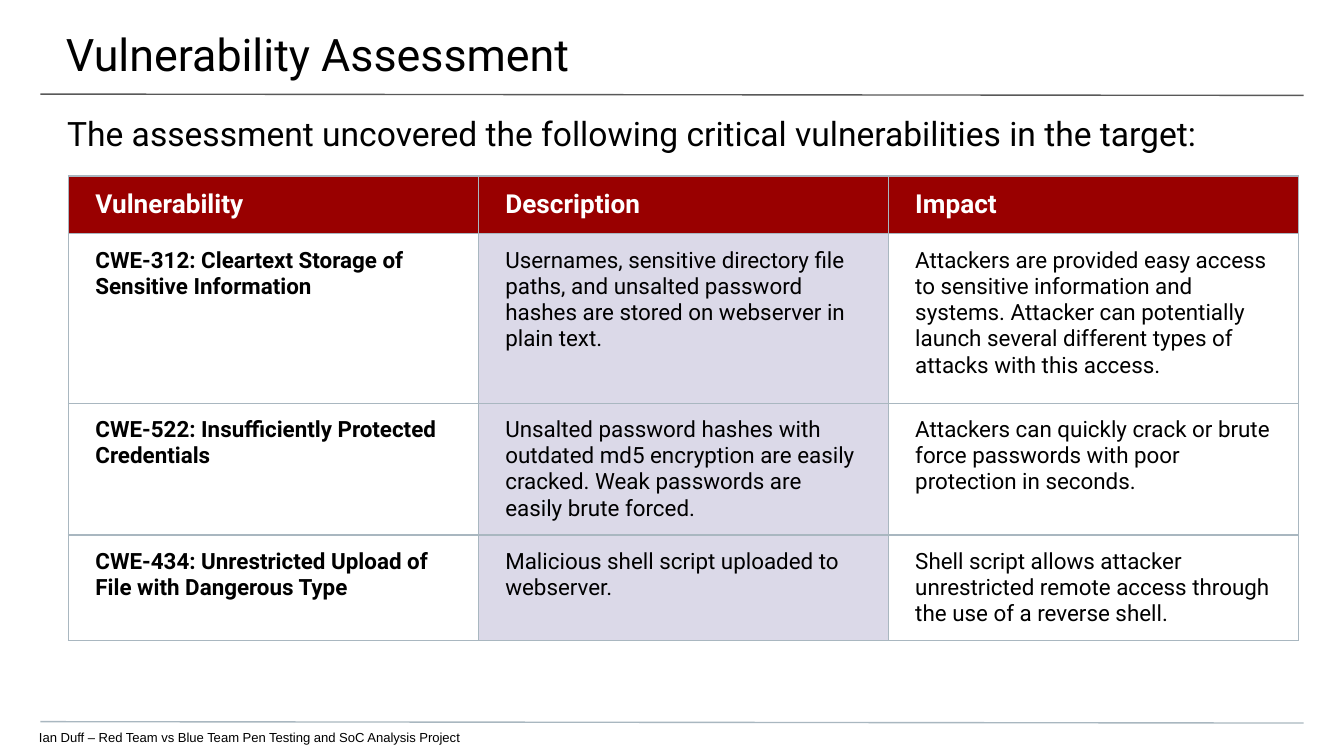
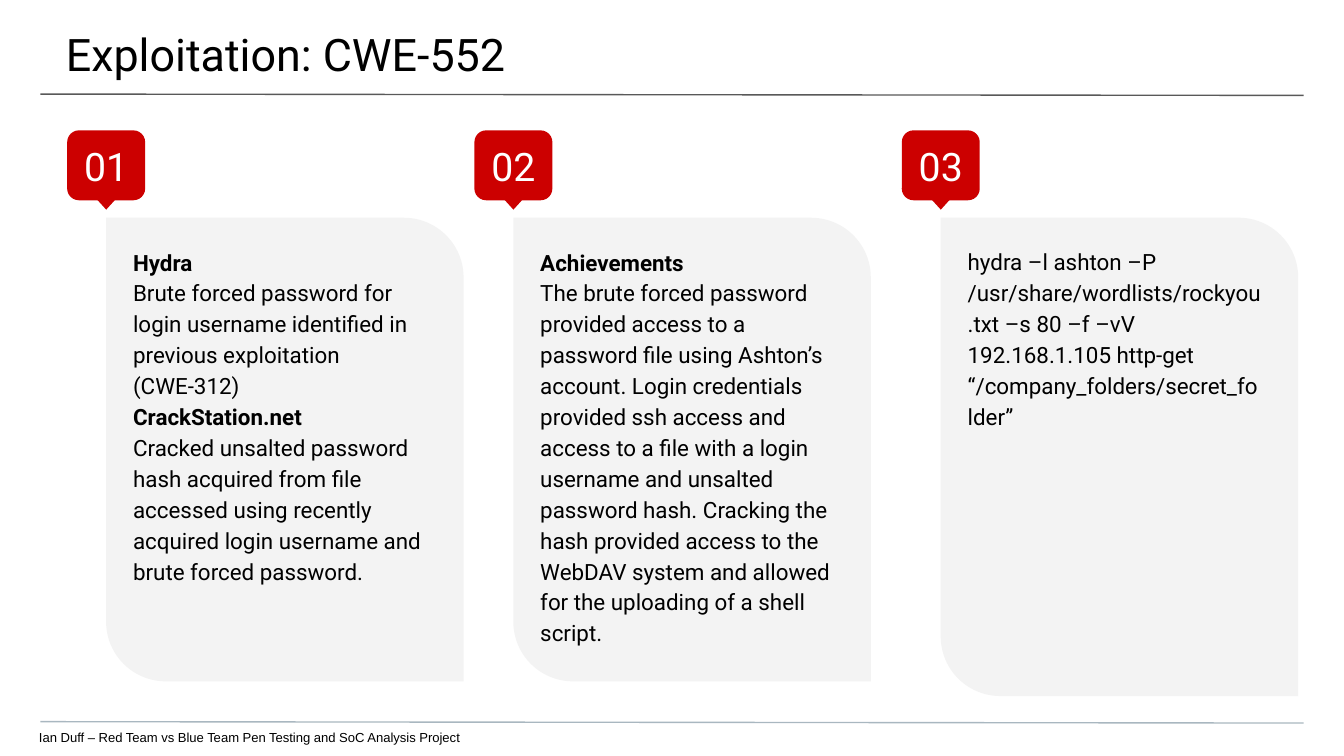
from dataclasses import dataclass

from lxml.etree import SubElement
from pptx import Presentation
from pptx.dml.color import RGBColor
from pptx.enum.shapes import MSO_CONNECTOR as Connector, MSO_SHAPE as Shape
from pptx.enum.text import MSO_ANCHOR as Anchor, MSO_AUTO_SIZE as AutoSize, PP_ALIGN as Align
from pptx.oxml.ns import qn
from pptx.util import Inches, Pt

BLACK = RGBColor(0x00, 0x00, 0x00)
WHITE = RGBColor(0xFF, 0xFF, 0xFF)
DARK_RED = RGBColor(0x99, 0x00, 0x00)
RED = RGBColor(0xCC, 0x00, 0x00)
LILAC = RGBColor(0xDB, 0xD9, 0xE8)
PALE_GREY = RGBColor(0xF3, 0xF3, 0xF3)
RULE_GREY = RGBColor(0x59, 0x59, 0x59)
BORDER_GREY = RGBColor(0xA9, 0xB7, 0xC0)

SLIDE_WIDTH = Inches(10)
SLIDE_HEIGHT = SLIDE_WIDTH * 9 // 16
UNIT = SLIDE_WIDTH // 100
TITLE_STYLE = {"name": "Roboto", "size": Pt(24), "bold": False}
LEAD_STYLE = {"name": "Roboto", "size": Pt(18)}
FOOTER_STYLE = {"name": "Arial", "size": Pt(7)}
HEAD_STYLE = {"name": "Roboto", "size": Pt(14), "bold": True}
BODY_STYLE = {"name": "Roboto", "size": Pt(12), "bold": False}
STRONG_STYLE = {**BODY_STYLE, "bold": True}
BADGE_STYLE = {"name": "Roboto", "size": Pt(21)}

FOOTER = "Ian Duff – Red Team vs Blue Team Pen Testing and SoC Analysis Project"
LEAD = "The assessment uncovered the following critical vulnerabilities in the target:"
HEADINGS = ["Vulnerability", "Description", "Impact"]
FINDINGS = [
    ["CWE-312: Cleartext Storage of Sensitive Information",
     "Usernames, sensitive directory file paths, and unsalted password hashes are stored "
     "on webserver in plain text.",
     "Attackers are provided easy access to sensitive information and systems. Attacker can "
     "potentially launch several different types of attacks with this access."],
    ["CWE-522: Insufficiently Protected Credentials",
     "Unsalted password hashes with outdated md5 encryption are easily cracked. Weak passwords "
     "are easily brute forced.",
     "Attackers can quickly crack or brute force passwords with poor protection in seconds."],
    ["CWE-434: Unrestricted Upload of File with Dangerous Type",
     "Malicious shell script uploaded to webserver.",
     "Shell script allows attacker unrestricted remote access through the use of a reverse shell."],
]
ROW_HEIGHTS = [3.9, 12.6, 9, 7.6]


@dataclass
class Box:
    """A rectangle measured in hundredths of the slide width."""
    left: float
    top: float
    width: float
    height: float

    def inside(self, left, top, width, height):
        """Return a box placed relative to this one."""
        return Box(self.left + left, self.top + top, width, height)

    def lengths(self):
        """Return left, top, width and height as slide lengths."""
        return [round(value * UNIT) for value in (self.left, self.top, self.width, self.height)]


@dataclass
class Step:
    """A numbered card with styled paragraphs."""
    box: Box
    text_width: float
    lines: list


STEPS = [
    Step(Box(5, 9.7, 29.5, 41), 25.9, [
        ("Hydra", STRONG_STYLE),
        ("Brute forced password for login username identified in previous exploitation "
         "(CWE-312)", BODY_STYLE),
        ("CrackStation.net", STRONG_STYLE),
        ("Cracked unsalted password hash acquired from file accessed using recently acquired "
         "login username and brute forced password.", BODY_STYLE)]),
    Step(Box(35.3, 9.7, 29.5, 41), 26.6, [
        ("Achievements", STRONG_STYLE),
        ("The brute forced password provided access to a password file using Ashton’s account. "
         "Login credentials provided ssh access and access to a file with a login username and "
         "unsalted password hash. Cracking the hash provided access to the WebDAV system and "
         "allowed for the uploading of a shell script.", BODY_STYLE)]),
    Step(Box(67.1, 9.7, 29.5, 42.1), 25.9, [
        ("hydra –l ashton –P /usr/share/wordlists/rockyou.txt –s 80 –f –vV 192.168.1.105 "
         "http-get “/company_folders/secret_folder”", BODY_STYLE)]),
]


def set_values(target, values):
    """Set every attribute named in a dict."""
    for name, value in values.items():
        setattr(target, name, value)


def set_insets(target, insets):
    """Set left, top, right and bottom margins given in units."""
    sides = ("margin_left", "margin_top", "margin_right", "margin_bottom")
    set_values(target, {side: round(inset * UNIT) for side, inset in zip(sides, insets)})


def write(frame, lines, color=BLACK, align=Align.LEFT, spacing=None):
    """Fill a text frame with one styled paragraph per line."""
    for index, (text, style) in enumerate(lines):
        para = frame.add_paragraph() if index else frame.paragraphs[0]
        set_values(para, {"alignment": align, "line_spacing": spacing})
        span = para.add_run()
        span.text = text
        set_values(span.font, style)
        span.font.color.rgb = color


def prepare_frame(frame, insets, anchor=Anchor.TOP):
    """Give a text frame fixed size, wrapping, margins and anchor."""
    set_values(frame, {"word_wrap": True, "auto_size": AutoSize.NONE, "vertical_anchor": anchor})
    set_insets(frame, insets)
    return frame


def add_text(page, box, lines, insets, spacing=None):
    """Add a text box."""
    frame = page.shapes.add_textbox(*box.lengths()).text_frame
    write(prepare_frame(frame, insets), lines, spacing=spacing)


def add_filled(shapes, kind, box, color):
    """Add a flat shape without outline."""
    shape = shapes.add_shape(kind, *box.lengths())
    shape.shadow.inherit = False
    shape.fill.solid()
    shape.fill.fore_color.rgb = color
    shape.line.fill.background()
    return shape


def add_rule(page, box, color):
    """Draw a thin line across a box."""
    left, top, width, height = box.lengths()
    rule = page.shapes.add_connector(Connector.STRAIGHT, left, top, left + width, top + height)
    rule.line.color.rgb = color
    rule.line.width = Pt(0.75)
    SubElement(rule._element.spPr, qn("a:effectLst"))


def add_page(deck, title):
    """Add a slide with its title, rules and footer."""
    page = deck.slides.add_slide(deck.slide_layouts[5])
    add_rule(page, Box(3, 7, 94, 0.1), RULE_GREY)
    add_rule(page, Box(3, 53.7, 94, 0.1), BORDER_GREY)
    holder = page.shapes.title
    place = Box(-0.1, 0, 100.3, 5.8).lengths()
    set_values(holder, dict(zip(("left", "top", "width", "height"), place)))
    write(prepare_frame(holder.text_frame, (5, 2, 3, 1)), [(title, TITLE_STYLE)])
    add_text(page, Box(-0.1, 53.8, 87.2, 2.5), [(FOOTER, FOOTER_STYLE)], (3, 0.5, 0, 0))
    return page


def add_borders(cell):
    """Draw the four borders of a table cell."""
    for side in ("a:lnL", "a:lnR", "a:lnT", "a:lnB"):
        line = SubElement(cell._tc.get_or_add_tcPr(), qn(side), w=str(Pt(0.75)))
        fill = SubElement(line, qn("a:solidFill"))
        SubElement(fill, qn("a:srgbClr"), val=str(BORDER_GREY))


def format_cell(cell, text, row, column):
    """Style one cell by its row and column."""
    add_borders(cell)
    set_insets(cell, (2, 1, 2, 1))
    cell.vertical_anchor = Anchor.TOP if row else Anchor.MIDDLE
    fill = LILAC if row and column == 1 else None if row else DARK_RED
    if fill is None:
        cell.fill.background()
    else:
        cell.fill.solid()
        cell.fill.fore_color.rgb = fill
    style = HEAD_STYLE if not row else BODY_STYLE if column else STRONG_STYLE
    write(cell.text_frame, [(text, style)], BLACK if row else WHITE)


def add_findings(page, box):
    """Add the table of vulnerabilities."""
    rows = [HEADINGS, *FINDINGS]
    table = page.shapes.add_table(len(rows), len(HEADINGS), *box.lengths()).table
    table.horz_banding = False
    for column in table.columns:
        column.width = round(box.width * UNIT / len(HEADINGS))
    for row, texts in enumerate(rows):
        table.rows[row].height = round(ROW_HEIGHTS[row] * UNIT)
        for column, text in enumerate(texts):
            format_cell(table.cell(row, column), text, row, column)


def add_badge(page, box, label):
    """Add a number on a tile with a pointer below it."""
    group = page.shapes.add_group_shape()
    tile = add_filled(group.shapes, Shape.ROUNDED_RECTANGLE, box, RED)
    tile.adjustments[0] = 0.167
    frame = prepare_frame(tile.text_frame, (1, 1, 1, 1), Anchor.MIDDLE)
    write(frame, [(label, BADGE_STYLE)], WHITE, Align.CENTER)
    pointer = box.inside(box.width / 4, 4.3, box.width / 2, 1.6)
    add_filled(group.shapes, Shape.FLOWCHART_EXTRACT, pointer, RED).rotation = 180


def add_step(page, number, step):
    """Add a card with its badge and text."""
    card = step.box.inside(2.9, 6.5, 26.6, step.box.height - 6.5)
    panel = add_filled(page.shapes, Shape.ROUND_2_DIAG_RECTANGLE, card, PALE_GREY)
    panel.adjustments[0] = 0.167
    panel._element.spPr.xfrm.set("flipH", "1")
    add_text(page, card.inside(0, 0, step.text_width, card.height), step.lines, (2, 2, 2, 2), 1.15)
    add_badge(page, step.box.inside(0, 0, 5.8, 5.2), f"{number:02}")


def build_assessment(deck):
    """Build the slide with the table of vulnerabilities."""
    page = add_page(deck, "Vulnerability Assessment")
    add_text(page, Box(0, 7.4, 100, 4), [(LEAD, LEAD_STYLE)], (5, 1, 5, 0))
    add_findings(page, Box(5.1, 13.1, 91.5, sum(ROW_HEIGHTS)))


def build_exploitation(deck):
    """Build the slide with the three numbered cards."""
    page = add_page(deck, "Exploitation: CWE-552")
    for number, step in enumerate(STEPS, 1):
        add_step(page, number, step)


def main():
    """Build and save the deck."""
    deck = Presentation()
    set_values(deck, {"slide_width": SLIDE_WIDTH, "slide_height": SLIDE_HEIGHT})
    build_assessment(deck)
    build_exploitation(deck)
    deck.save("out.pptx")


if __name__ == "__main__":
    main()
